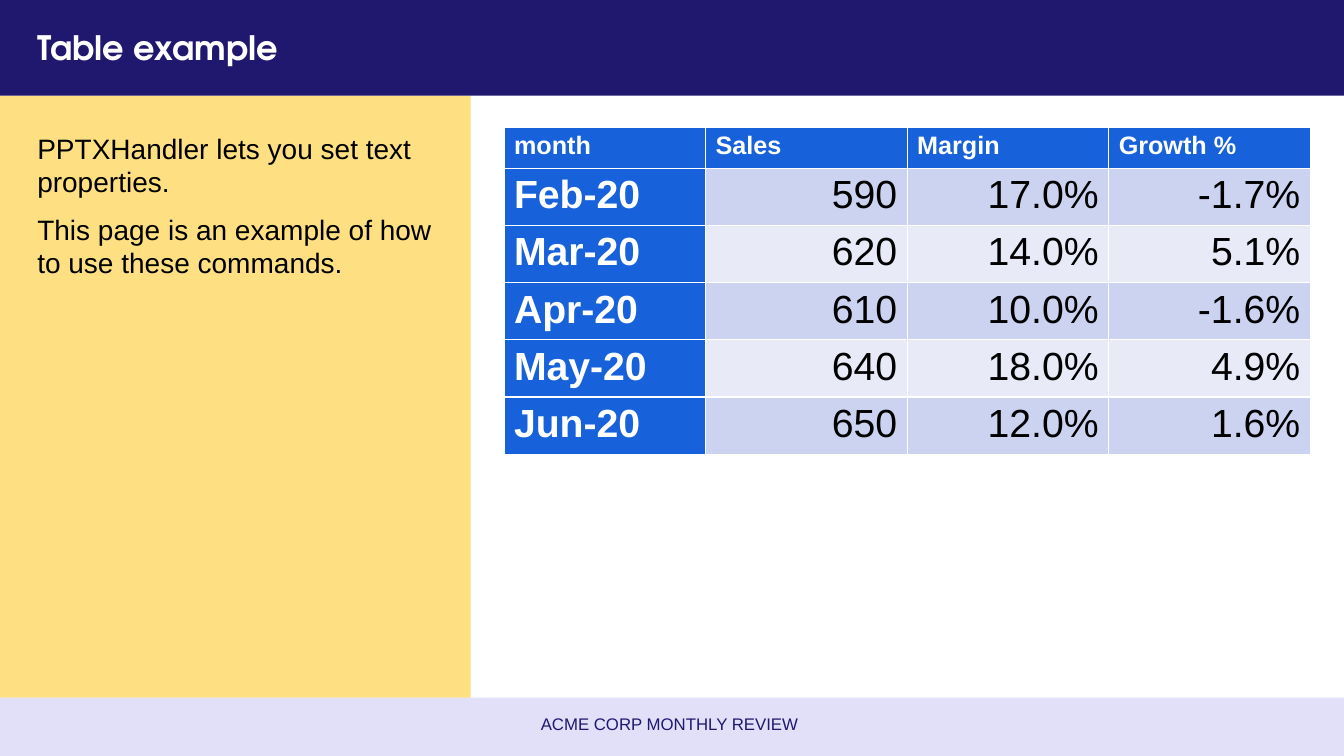
from lxml import etree
from pptx import Presentation, util as u
from pptx.dml.color import RGBColor
from pptx.enum import shapes, text
from pptx.oxml.ns import qn

TITLE = "Table example"
NOTES = [
    "PPTXHandler lets you set text properties.",
    "This page is an example of how to use these commands.",
]
FOOTER = "ACME CORP MONTHLY REVIEW"
HEADINGS = ["month", "Sales", "Margin", "Growth %"]
MONTHS = [
    ("Feb-20", "590", "17.0%", "-1.7%"),
    ("Mar-20", "620", "14.0%", "5.1%"),
    ("Apr-20", "610", "10.0%", "-1.6%"),
    ("May-20", "640", "18.0%", "4.9%"),
    ("Jun-20", "650", "12.0%", "1.6%"),
]

NAVY, WHITE, BLACK = "20186F", "FFFFFF", "000000"
AMBER, LILAC, BLUE = "FEC107", "C6C1F2", "1762DB"
STRIPES = ["CCD3F1", "E8EAF8"]
BODY_FONT, TITLE_FONT = "Arial", "TeX Gyre Adventor"

# Lengths in centimetres
WIDTH, HEIGHT = 33.87, 19.05
HEADER_HEIGHT, FOOTER_TOP, FOOTER_HEIGHT = 2.41, 17.58, 1.52
SIDEBAR_WIDTH, MARGIN = 11.86, 0.69
COLUMN_WIDTH, ROW_HEIGHT = 5.08, 1.04

LEFT, CENTER, RIGHT = (text.PP_ALIGN.LEFT, text.PP_ALIGN.CENTER,
                       text.PP_ALIGN.RIGHT)
TOP, MIDDLE = text.MSO_ANCHOR.TOP, text.MSO_ANCHOR.MIDDLE


def paint(fill, color):
    """Make a fill solid in a hex colour."""
    fill.solid()
    fill.fore_color.rgb = RGBColor.from_string(color)


def add_panel(page, area, color, opacity=100):
    """Add a borderless rectangle, see-through below 100 percent opacity."""
    panel = page.shapes.add_shape(shapes.MSO_SHAPE.RECTANGLE, *map(u.Cm, area))
    panel.shadow.inherit = False
    panel.line.fill.background()
    paint(panel.fill, color)
    if opacity < 100:
        shade = panel.fill._xPr.find(".//" + qn("a:srgbClr"))
        etree.SubElement(shade, qn("a:alpha"), val=str(opacity * 1000))


def style(frame, size, color, bold=False, align=LEFT, font=BODY_FONT, space=0):
    """Format every paragraph and run of a text frame."""
    for para in frame.paragraphs:
        para.alignment = align
        para.space_before = u.Pt(space)
        for span in para.runs:
            span.font.name = font
            span.font.size = u.Pt(size)
            span.font.bold = bold
            span.font.color.rgb = RGBColor.from_string(color)


def add_text(page, area, words, anchor, **look):
    """Add a wrapped text box with the given look."""
    frame = page.shapes.add_textbox(*map(u.Cm, area)).text_frame
    frame.word_wrap = True
    frame.vertical_anchor = anchor
    frame.text = words
    style(frame, **look)


def add_month_table(page, left, top):
    """Add the table of monthly figures with a header row and column."""
    rows = [HEADINGS, *MONTHS]
    size = COLUMN_WIDTH * len(HEADINGS), ROW_HEIGHT * len(rows)
    table = page.shapes.add_table(len(rows), len(HEADINGS),
                                  *map(u.Cm, (left, top, *size))).table
    table.first_col = True
    for column in table.columns:
        column.width = u.Cm(COLUMN_WIDTH)
    for r, values in enumerate(rows):
        table.rows[r].height = u.Cm(ROW_HEIGHT)
        for c, value in enumerate(values):
            heading = r == 0 or c == 0
            cell = table.cell(r, c)
            cell.text_frame.text = value
            paint(cell.fill, BLUE if heading else STRIPES[(r - 1) % 2])
            style(cell.text_frame, size=28 if r else 18,
                  color=WHITE if heading else BLACK, bold=heading,
                  align=LEFT if heading else RIGHT)


deck = Presentation()
deck.slide_width, deck.slide_height = u.Cm(WIDTH), u.Cm(HEIGHT)
page = deck.slides.add_slide(deck.slide_layouts[6])
paint(page.background.fill, WHITE)

add_panel(page, (0, HEADER_HEIGHT, SIDEBAR_WIDTH, FOOTER_TOP - HEADER_HEIGHT),
          AMBER, opacity=50)
add_panel(page, (0, FOOTER_TOP, WIDTH, FOOTER_HEIGHT), LILAC, opacity=50)
add_panel(page, (0, 0, WIDTH, HEADER_HEIGHT), NAVY)

add_text(page, (MARGIN, 0.3, 32.51, 1.78), TITLE, MIDDLE,
         size=24, color=WHITE, bold=True, font=TITLE_FONT)
add_text(page, (MARGIN, 3.18, 10.54, 14.22), "\n".join(NOTES), TOP,
         size=20, color=BLACK, space=10)
add_text(page, (5.18, 17.73, 23.39, 1.02), FOOTER, MIDDLE,
         size=12, color=NAVY, align=CENTER)
add_month_table(page, 12.7, 3.2)

deck.save("out.pptx")
